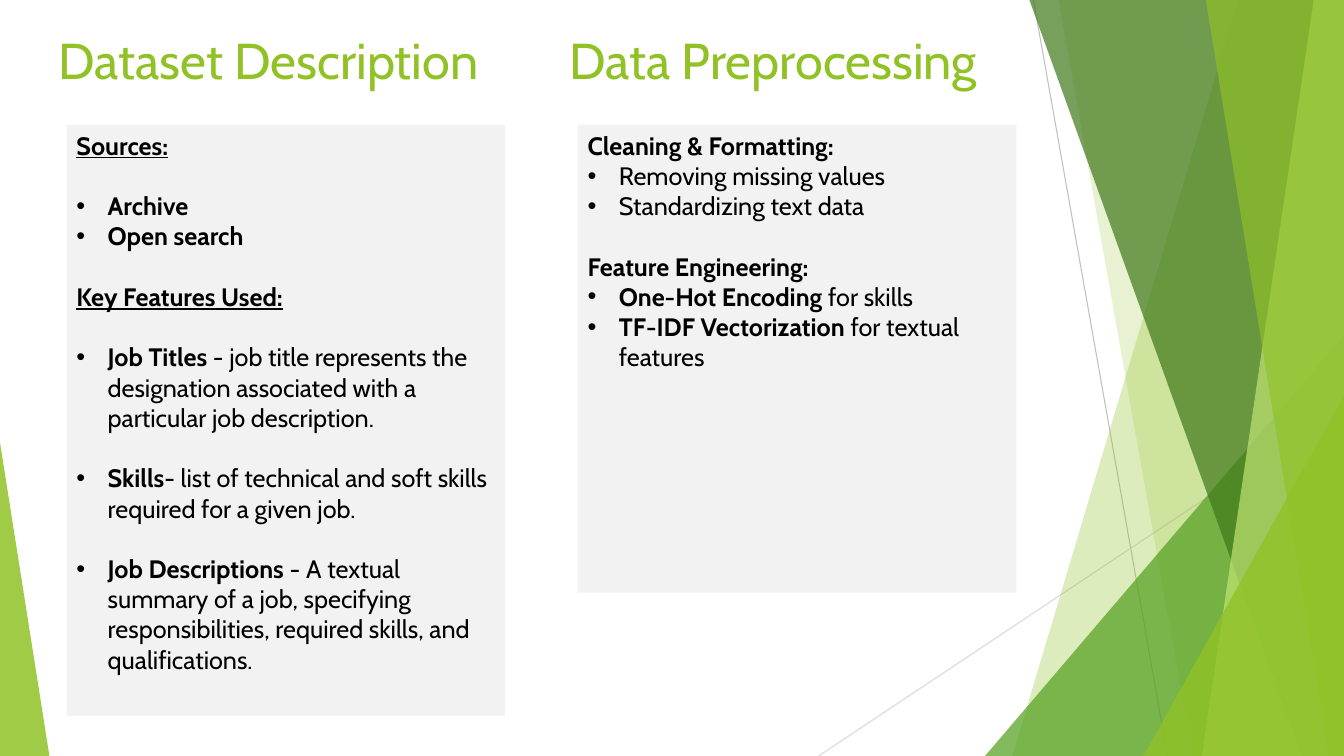
from lxml import etree
from pptx import Presentation
from pptx.dml.color import RGBColor
from pptx.enum.shapes import MSO_CONNECTOR as Connector, MSO_SHAPE as Shape
from pptx.enum.text import MSO_ANCHOR as Anchor, PP_ALIGN as Align
from pptx.oxml.ns import qn
from pptx.util import Inches, Pt

WIDTH, HEIGHT = 13.33, 7.5
COLORS = {
    "lime": "90C226", "leaf": "54A021", "forest": "3F7819", "pale": "C0E474",
    "panel": "F2F2F2", "ink": "000000", "ray": "BFBFBF", "light_ray": "D9D9D9",
}
FONT = "Cabin"
LINE_GAP = 21.6   # height of one body line, in points
INDENT = 0.31
COLUMN_STEP = 5.07

BOLD = {"bold": True}
HEADING = {"bold": True, "underline": True}
PLAIN = {"bold": False}

# Each paragraph: (bulleted, gap above, [(text, format), ...])
DESCRIPTION = [
    (False, False, [("Sources:", HEADING)]),
    (True, True, [("Archive", BOLD)]),
    (True, False, [("Open search", BOLD)]),
    (False, True, [("Key Features Used:", HEADING)]),
    (True, True, [("Job Titles ", BOLD),
                  ("- job title represents the designation associated with a "
                   "particular job description.", PLAIN)]),
    (True, True, [("Skills", BOLD),
                  ("- list of technical and soft skills required for a given job.", PLAIN)]),
    (True, True, [("Job Descriptions ", BOLD),
                  ("- A textual summary of a job, specifying responsibilities, "
                   "required skills, and qualifications.", PLAIN)]),
]
PREPROCESSING = [
    (False, False, [("Cleaning & Formatting:", BOLD)]),
    (True, False, [("Removing missing values", PLAIN)]),
    (True, False, [("Standardizing text data", PLAIN)]),
    (False, True, [("Feature Engineering:", BOLD)]),
    (True, False, [("One-Hot Encoding", BOLD), (" for skills", PLAIN)]),
    (True, False, [("TF-IDF Vectorization", BOLD), (" for textual features", PLAIN)]),
]


def color(name):
    return RGBColor.from_string(COLORS[name])


def paint(shape, fill_name, opacity=100):
    shape.shadow.inherit = False
    shape.line.fill.background()
    shape.fill.solid()
    shape.fill.fore_color.rgb = color(fill_name)
    if opacity < 100:
        tint = shape.fill._xPr.find(qn("a:solidFill"))[0]
        etree.SubElement(tint, qn("a:alpha"), val=str(opacity * 1000))


def add_run(paragraph, text, size, color_name, formats):
    run = paragraph.add_run()
    run.text = text
    run.font.color.rgb = color(color_name)
    for key, value in {"name": FONT, "size": Pt(size), **formats}.items():
        setattr(run.font, key, value)


def add_bullet(paragraph):
    props = paragraph._p.get_or_add_pPr()
    props.set("marL", str(Inches(INDENT)))
    props.set("indent", str(-Inches(INDENT)))
    etree.SubElement(props, qn("a:buFont"), typeface="Arial")
    etree.SubElement(props, qn("a:buChar"), char="•")


def add_ray(slide, start, end, color_name):
    ray = slide.shapes.add_connector(
        Connector.STRAIGHT, *(Inches(v) for v in (*start, *end)))
    ray.line.color.rgb = color(color_name)
    ray.line.width = Pt(0.75)
    etree.SubElement(ray._element.spPr, qn("a:effectLst"))


def add_shard(slide, top_left, bottom_left, fill_name, opacity):
    """Full-height band that runs from a slanted left side to the slide edge."""
    corners = [(top_left, 0), (WIDTH, 0), (WIDTH, HEIGHT), (bottom_left, HEIGHT)]
    points = [(Inches(x), Inches(y)) for x, y in corners]
    builder = slide.shapes.build_freeform(*points[0])
    builder.add_line_segments(points[1:], close=True)
    paint(builder.convert_to_shape(), fill_name, opacity)


def add_corner(slide, left, top, width, apex, fill_name, opacity):
    """Triangle that stands on the bottom edge of the slide."""
    corner = slide.shapes.add_shape(
        Shape.ISOSCELES_TRIANGLE, Inches(left), Inches(top),
        Inches(width), Inches(HEIGHT - top))
    corner.adjustments[0] = apex
    paint(corner, fill_name, opacity)


def add_backdrop(slide):
    add_ray(slide, (10.25, 0), (11.58, HEIGHT), "ray")
    add_ray(slide, (WIDTH, 4.03), (8.12, HEIGHT), "light_ray")
    add_shard(slide, 12.28, 10.04, "lime", 30)
    add_shard(slide, 10.5, 11.83, "lime", 20)
    add_corner(slide, 9.77, 3.33, WIDTH - 9.77, 1, "leaf", 72)
    add_shard(slide, 10.21, 12.91, "forest", 70)
    add_shard(slide, 13.03, 11.92, "pale", 70)
    add_shard(slide, 11.96, 13.18, "lime", 65)
    add_corner(slide, 11.34, 3.93, WIDTH - 11.34, 1, "lime", 80)
    add_corner(slide, 0, 4.39, 0.49, 0, "lime", 85)


def add_column(slide, left, title, points, panel_height):
    # Title
    heading = slide.shapes.add_textbox(
        Inches(left), Inches(0.24), Inches(4.71), Inches(0.89))
    heading.text_frame.word_wrap = True
    add_run(heading.text_frame.paragraphs[0], title, 36, "lime", {})

    # Grey panel with its points
    panel = slide.shapes.add_shape(
        Shape.RECTANGLE, Inches(left + 0.18), Inches(1.24),
        Inches(4.35), Inches(panel_height))
    paint(panel, "panel")
    frame = panel.text_frame
    frame.word_wrap = True
    frame.vertical_anchor = Anchor.TOP
    for index, (bulleted, gap, runs) in enumerate(points):
        paragraph = frame.add_paragraph() if index else frame.paragraphs[0]
        paragraph.alignment = Align.LEFT
        if gap:
            paragraph.space_before = Pt(LINE_GAP)
        if bulleted:
            add_bullet(paragraph)
        for text, formats in runs:
            add_run(paragraph, text, 18, "ink", formats)


def main():
    deck = Presentation()
    deck.slide_width, deck.slide_height = Inches(WIDTH), Inches(HEIGHT)
    slide = deck.slides.add_slide(deck.slide_layouts[6])
    add_backdrop(slide)
    columns = [("Dataset Description", DESCRIPTION, 5.86),
               ("Data Preprocessing", PREPROCESSING, 4.64)]
    for index, column in enumerate(columns):
        add_column(slide, 0.48 + index * COLUMN_STEP, *column)
    deck.save("out.pptx")


if __name__ == "__main__":
    main()
